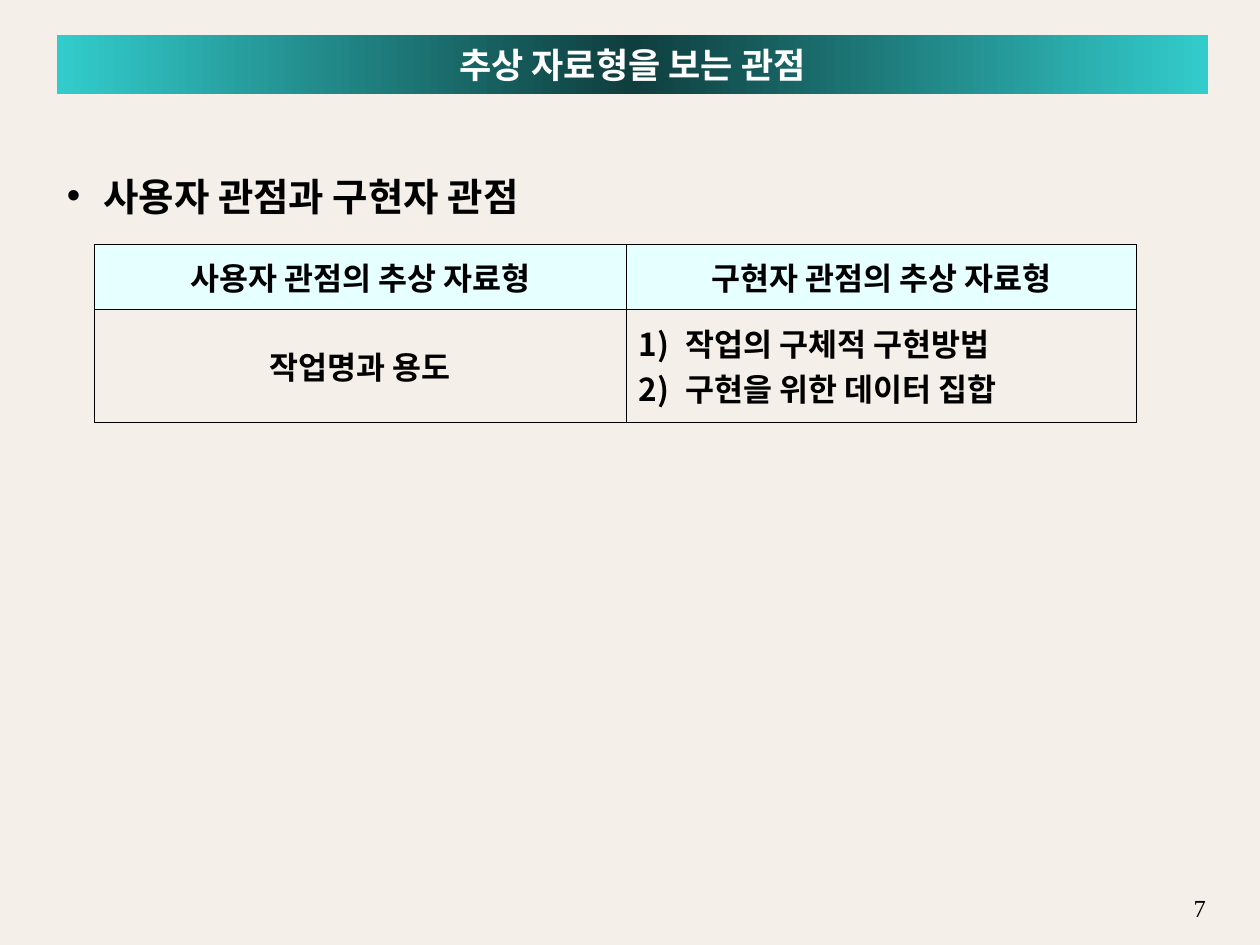
from lxml.etree import SubElement
from pptx import Presentation
from pptx.dml.color import RGBColor
from pptx.enum.text import MSO_ANCHOR, MSO_AUTO_SIZE, PP_ALIGN
from pptx.oxml import parse_xml
from pptx.oxml.ns import nsdecls, qn
from pptx.util import Inches, Pt

TITLE = "추상 자료형을 보는 관점"
BULLET = "사용자 관점과 구현자 관점"
PAGE = "7"
ROWS = [
    [["사용자 관점의 추상 자료형"], ["구현자 관점의 추상 자료형"]],
    [["작업명과 용도"], ["1)\t작업의 구체적 구현방법", "2)\t구현을 위한 데이터 집합"]],
]
COL_WIDTHS = [4.22, 4.05]
ROW_HEIGHTS = [0.51, 0.9]

KOREAN = "Noto Sans CJK KR"
THEME = {
    "background": "F4EFE8",
    "header": "E6FFFF",
    "border": "000000",
    "border_width": 0.06,
    "gradient": [(0, "33CCCC"), (50, "0F3E3E"), (100, "33CCCC")],
    "title": {"name": KOREAN, "size": 20, "color": "FFFFFF", "bold": True},
    "bullet": {"name": KOREAN, "size": 22, "color": "000000", "bold": True},
    "cell": {"name": KOREAN, "size": 18, "color": "000000", "bold": True},
    "page": {"name": "Times New Roman", "size": 14, "color": "000000", "bold": False},
}


def write(p, text, style, align):
    p.alignment = align
    r = p.add_run()
    r.text = text
    font = r.font
    for name, value in {"name": style["name"], "size": Pt(style["size"]), "bold": style["bold"]}.items():
        setattr(font, name, value)
    font.color.rgb = RGBColor.from_string(style["color"])
    SubElement(r._r.get_or_add_rPr(), qn("a:ea"), typeface=style["name"])


def place(sp, left, top, width, height):
    sp.left, sp.top, sp.width, sp.height = map(Inches, (left, top, width, height))
    sp.text_frame.auto_size = MSO_AUTO_SIZE.NONE
    sp.text_frame.word_wrap = True


def hang(p, indent):
    pPr = p._p.get_or_add_pPr()
    pPr.set("marL", str(Inches(indent)))
    pPr.set("indent", str(-Inches(indent)))
    return pPr


def add_title(s):
    sp = s.shapes.title
    place(sp, 0.45, 0.28, 9.14, 0.47)
    stops = "".join(
        f'<a:gs pos="{pos * 1000}"><a:srgbClr val="{color}"/></a:gs>'
        for pos, color in THEME["gradient"]
    )
    sp._element.spPr.append(parse_xml(
        f'<a:gradFill {nsdecls("a")} rotWithShape="1"><a:gsLst>{stops}</a:gsLst>'
        '<a:lin ang="0" scaled="0"/></a:gradFill>'
    ))
    sp.text_frame.vertical_anchor = MSO_ANCHOR.MIDDLE
    write(sp.text_frame.paragraphs[0], TITLE, THEME["title"], PP_ALIGN.CENTER)


def add_body(s):
    sp = s.placeholders[1]
    place(sp, 0.43, 0.91, 9.14, 6.14)
    tf = sp.text_frame
    tf.margin_top = Inches(0.46)
    tf.vertical_anchor = MSO_ANCHOR.TOP
    p = tf.paragraphs[0]
    p.space_before = Pt(0)
    pPr = hang(p, 0.29)
    color = SubElement(pPr, qn("a:buClr"))
    SubElement(color, qn("a:srgbClr"), val=THEME["bullet"]["color"])
    SubElement(pPr, qn("a:buChar"), char="•")
    write(p, BULLET, THEME["bullet"], PP_ALIGN.LEFT)


def add_borders(cell):
    tcPr = cell._tc.get_or_add_tcPr()
    for side in ("lnL", "lnR", "lnT", "lnB"):
        ln = SubElement(tcPr, qn(f"a:{side}"), w=str(Pt(THEME["border_width"])))
        fill = SubElement(ln, qn("a:solidFill"))
        SubElement(fill, qn("a:srgbClr"), val=THEME["border"])


def fill_cell(cell, lines, is_header):
    cell.vertical_anchor = MSO_ANCHOR.MIDDLE
    add_borders(cell)
    if is_header:
        cell.fill.solid()
        cell.fill.fore_color.rgb = RGBColor.from_string(THEME["header"])
    else:
        cell.fill.background()
    tf = cell.text_frame
    for i, line in enumerate(lines):
        p = tf.add_paragraph() if i else tf.paragraphs[0]
        numbered = "\t" in line
        if numbered:
            hang(p, 0.37)
        write(p, line, THEME["cell"], PP_ALIGN.LEFT if numbered else PP_ALIGN.CENTER)


def add_comparison(s):
    size = map(Inches, (0.75, 1.94, sum(COL_WIDTHS), sum(ROW_HEIGHTS)))
    table = s.shapes.add_table(len(ROWS), len(COL_WIDTHS), *size).table
    table.first_row = table.horz_banding = False
    for col, width in zip(table.columns, COL_WIDTHS):
        col.width = Inches(width)
    for i, (row, height) in enumerate(zip(table.rows, ROW_HEIGHTS)):
        row.height = Inches(height)
        for cell, lines in zip(row.cells, ROWS[i]):
            fill_cell(cell, lines, i == 0)


def add_page_number(s):
    sp = s.shapes.add_textbox(0, 0, 0, 0)
    place(sp, 9.25, 7.04, 0.42, 0.17)
    write(sp.text_frame.paragraphs[0], PAGE, THEME["page"], PP_ALIGN.RIGHT)


def main():
    prs = Presentation()
    prs.slide_width, prs.slide_height = Inches(10), Inches(7.5)
    s = prs.slides.add_slide(prs.slide_layouts[1])
    s.background.fill.solid()
    s.background.fill.fore_color.rgb = RGBColor.from_string(THEME["background"])
    add_page_number(s)
    add_body(s)
    add_comparison(s)
    add_title(s)
    prs.save("out.pptx")


if __name__ == "__main__":
    main()
